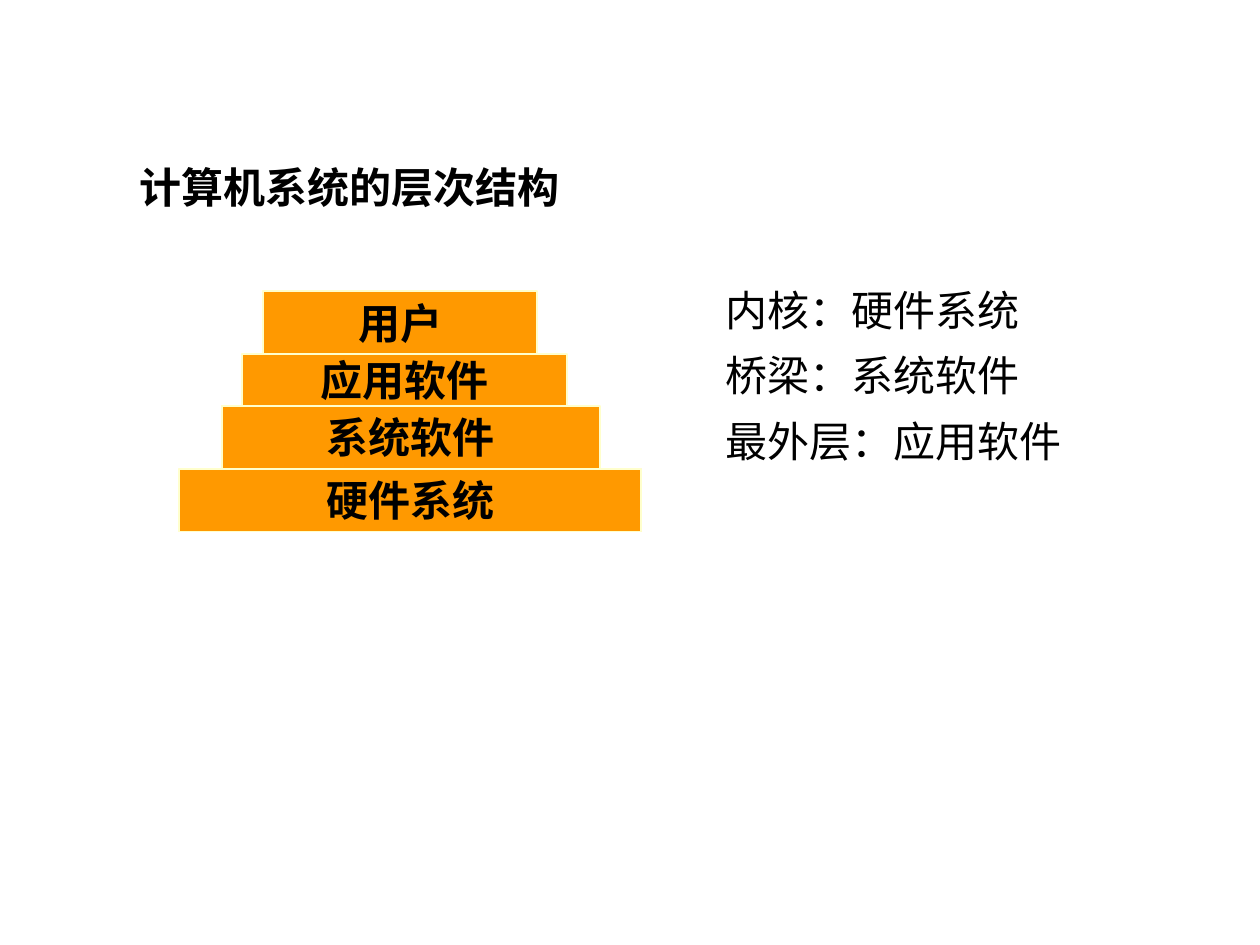
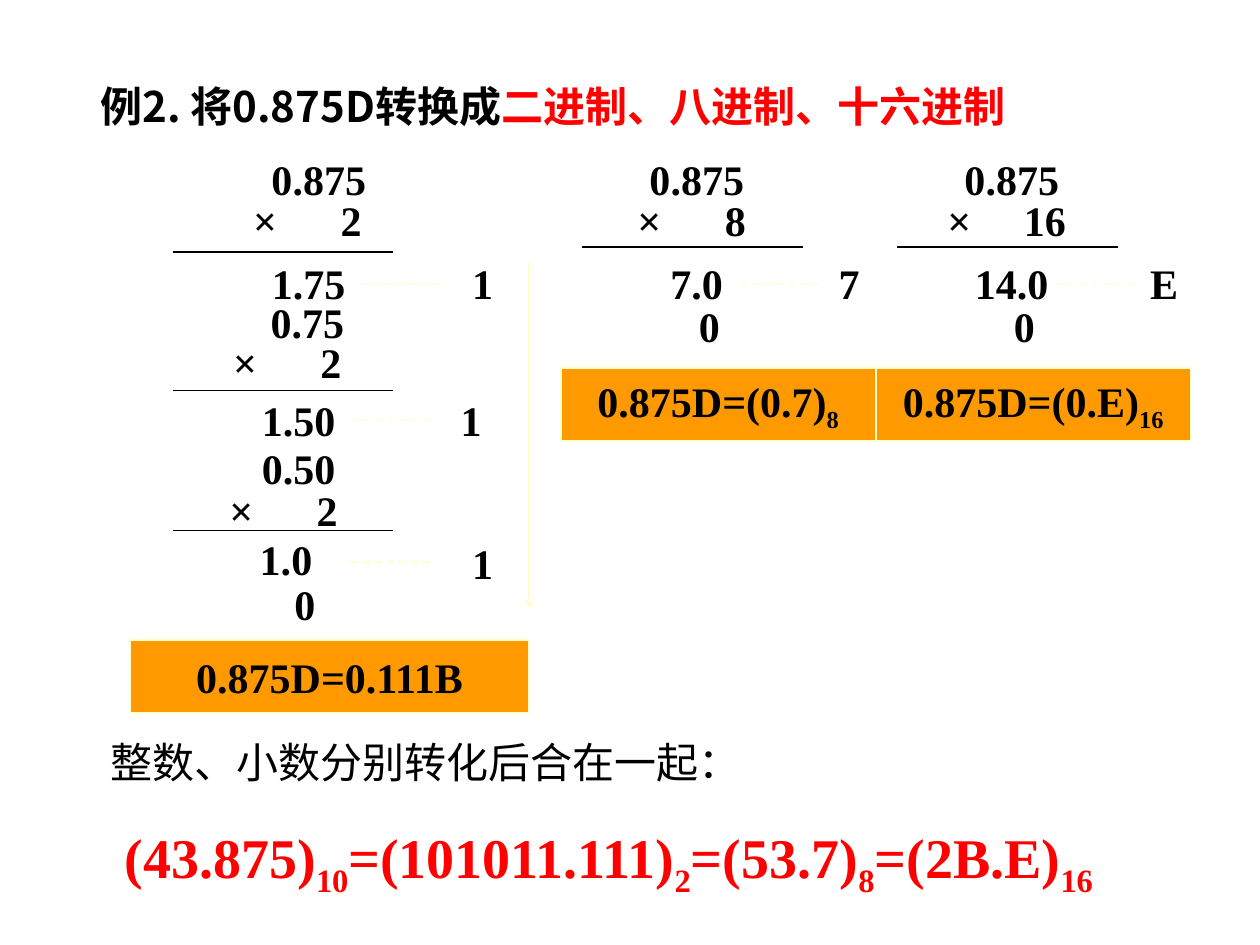
from lxml import etree
from pptx import Presentation
from pptx.dml.color import RGBColor
from pptx.enum.dml import MSO_LINE
from pptx.enum.shapes import MSO_CONNECTOR, MSO_SHAPE
from pptx.enum.text import MSO_ANCHOR, PP_ALIGN
from pptx.oxml.ns import qn
from pptx.util import Inches, Pt

RECT = MSO_SHAPE.RECTANGLE
LINE = MSO_CONNECTOR.STRAIGHT
DASH = MSO_LINE.DASH
TOP, MIDDLE = MSO_ANCHOR.TOP, MSO_ANCHOR.MIDDLE
LEFT, CENTER = PP_ALIGN.LEFT, PP_ALIGN.CENTER

BLACK, RED, ORANGE, CREAM = "000000", "FF0000", "FF9900", "FFFFCC"
SANS, SERIF = "Noto Sans CJK SC", "Times New Roman"
BASE = {"name": SERIF, "size": Pt(24), "bold": True}
TITLE = {"name": SANS}
PLAIN = {"name": SANS, "bold": False}
BIG = {"size": Pt(32)}


def color(code):
    """Turn a hex string into a colour."""
    return RGBColor.from_string(code)


def subs(*parts):
    """Make runs in which every second part is a subscript."""
    return [(part, BLACK, i % 2 == 1) for i, part in enumerate(parts)]


class Deck:
    """Hold the style and the current slide."""

    def __init__(self):
        """Start an empty 10 by 7.5 inch deck."""
        self.prs = Presentation()
        self.prs.slide_width, self.prs.slide_height = Inches(10), Inches(7.5)
        self.slide = None

    def page(self):
        """Add a blank slide."""
        self.slide = self.prs.slides.add_slide(self.prs.slide_layouts[6])

    def fill(self, par, runs, form):
        """Write runs of text, colour and subscript flag into a paragraph."""
        for text, tint, low in runs:
            run = par.add_run()
            run.text = text
            for key, value in {**BASE, **form}.items():
                setattr(run.font, key, value)
            run.font.color.rgb = color(tint)
            props = run._r.get_or_add_rPr()
            etree.SubElement(props, qn("a:ea")).set("typeface", SANS)
            if low:
                props.set("baseline", "-25000")

    def text(self, x, y, w, h, *lines, form=None, align=LEFT, anchor=TOP,
             space=None, inset=None):
        """Add a text box with one paragraph per line of runs."""
        box = self.slide.shapes.add_textbox(
            Inches(x), Inches(y), Inches(w), Inches(h))
        frame = box.text_frame
        frame.word_wrap = align == LEFT
        frame.vertical_anchor = anchor
        if inset is not None:
            frame.margin_left = frame.margin_right = Inches(inset)
            frame.margin_top = frame.margin_bottom = Inches(inset)
        for i, runs in enumerate(lines):
            par = frame.add_paragraph() if i else frame.paragraphs[0]
            par.alignment = align
            if space:
                par.line_spacing = space
            self.fill(par, runs, form or {})
        return frame

    def num(self, mid, y, text):
        """Add a number centred on a given place."""
        self.text(mid - 0.5, y, 1, 0.33, subs(text),
                  align=CENTER, anchor=MIDDLE)

    def times(self, x, y, base, tab=0.86):
        """Add a times sign and a base set flush right on a tab."""
        frame = self.text(x, y, 1.33, 0.33, subs(f"×\t{base}"),
                          anchor=MIDDLE, inset=0)
        props = frame.paragraphs[0]._p.get_or_add_pPr()
        stop = etree.SubElement(
            etree.SubElement(props, qn("a:tabLst")), qn("a:tab"))
        stop.set("pos", str(Inches(tab)))
        stop.set("algn", "r")

    def bar(self, x, y, w, h, runs):
        """Add an orange bar with a centred label."""
        shape = self.slide.shapes.add_shape(
            RECT, Inches(x), Inches(y), Inches(w), Inches(h))
        shape.shadow.inherit = False
        shape.fill.solid()
        shape.fill.fore_color.rgb = color(ORANGE)
        shape.line.color.rgb = color(CREAM)
        shape.line.width = Pt(1)
        frame = shape.text_frame
        frame.word_wrap = False
        frame.vertical_anchor = MIDDLE
        frame.paragraphs[0].alignment = CENTER
        self.fill(frame.paragraphs[0], runs, {})

    def line(self, x, y, w=0, h=0, tint=BLACK, dash=None, arrow=None):
        """Add a straight line, dashed or with an arrowhead if asked."""
        link = self.slide.shapes.add_connector(
            LINE, Inches(x), Inches(y), Inches(x + w), Inches(y + h))
        link.line.color.rgb = color(tint)
        link.line.width = Pt(1)
        if dash:
            link.line.dash_style = dash
        if arrow:
            edge = link.line._get_or_add_ln()
            etree.SubElement(edge, qn("a:tailEnd")).set("type", arrow)
        etree.SubElement(link._element.spPr, qn("a:effectLst"))

    def rule(self, x, y):
        """Add the line under a product."""
        self.line(x, y, 1.75)

    def lead(self, x, y):
        """Add the dashes that lead to a digit."""
        self.line(x, y, 0.67, tint=CREAM, dash=DASH)


def layers(deck):
    """Build the slide on system layers."""
    deck.page()
    deck.text(1.01, 1.28, 4.06, 0.83, subs("计算机系统的层次结构"),
              form=TITLE, space=0.9)
    notes = ["内核：硬件系统", "桥梁：系统软件", "最外层：应用软件"]
    deck.text(5.76, 2.13, 3, 1.57, *map(subs, notes), form=PLAIN,
              anchor=MIDDLE, space=1.3, inset=0)
    y = 2.31
    for x, w, h, name in [(2.09, 2.17, 0.5, "用户"),
                          (1.92, 2.58, 0.41, "应用软件"),
                          (1.76, 3, 0.5, "系统软件"),
                          (1.42, 3.67, 0.5, "硬件系统")]:
        deck.bar(x, y, w, h, subs(name))
        y += h


def binary(deck):
    """Build the column of products by two."""
    for mid, y, text in [(2.53, 1.25, "0.875"), (2.45, 2.08, "1.75"),
                         (2.44, 2.39, "0.75"), (2.37, 3.17, "1.50"),
                         (2.37, 3.55, "0.50"), (2.27, 4.27, "1.0"),
                         (2.42, 4.63, "0"), (3.83, 2.08, "1"),
                         (3.74, 3.17, "1"), (3.83, 4.3, "1")]:
        deck.num(mid, y, text)
    for x, y in [(2.01, 1.58), (1.85, 2.71), (1.82, 3.88)]:
        deck.times(x, y, "2")
    for y in (2, 3.1, 4.21):
        deck.rule(1.37, y)
    for x, y in [(2.87, 2.25), (2.78, 3.33), (2.78, 4.46)]:
        deck.lead(x, y)
    deck.line(4.2, 2.08, h=2.75, tint=CREAM, arrow="stealth")
    deck.bar(1.03, 5.08, 3.17, 0.58, subs("0.875D=0.111B"))


def single(deck, x, base, sign, tab, whole, digit):
    """Build a column that ends after one product."""
    deck.num(x + 1.08, 1.25, "0.875")
    deck.times(x + sign, 1.58, base, tab)
    deck.rule(x + 0.17, 1.96)
    deck.num(x + 1.08, 2.08, whole)
    deck.lead(x + 1.42, 2.25)
    deck.num(x + 2.29, 2.08, digit)
    deck.num(x + 1.18, 2.42, "0")
    deck.bar(x, 2.92, 2.5, 0.58, subs(f"0.875D=(0.{digit})", base))


def convert(deck):
    """Build the slide on number bases."""
    deck.page()
    deck.text(0.7, 0.59, 8, 0.5,
              [("例2. 将0.875D转换成", BLACK, False),
               ("二进制、八进制、十六进制", RED, False)], form=TITLE)
    binary(deck)
    single(deck, 4.45, "8", 0.61, 0.86, "7.0", "7")
    single(deck, 6.95, "16", 0.57, 0.94, "14.0", "E")
    deck.text(0.78, 5.8, 8.33, 0.6, subs("整数、小数分别转化后合在一起："),
              form={"bold": False})
    total = subs("(43.875)", "10", "=(101011.111)", "2", "=(53.7)", "8",
                 "=(2B.E)", "16")
    deck.text(0.89, 6.48, 8.33, 0.63,
              [(part, RED, low) for part, _, low in total], form=BIG)


def main():
    """Build and save the deck."""
    deck = Deck()
    layers(deck)
    convert(deck)
    deck.prs.save("out.pptx")


if __name__ == "__main__":
    main()
